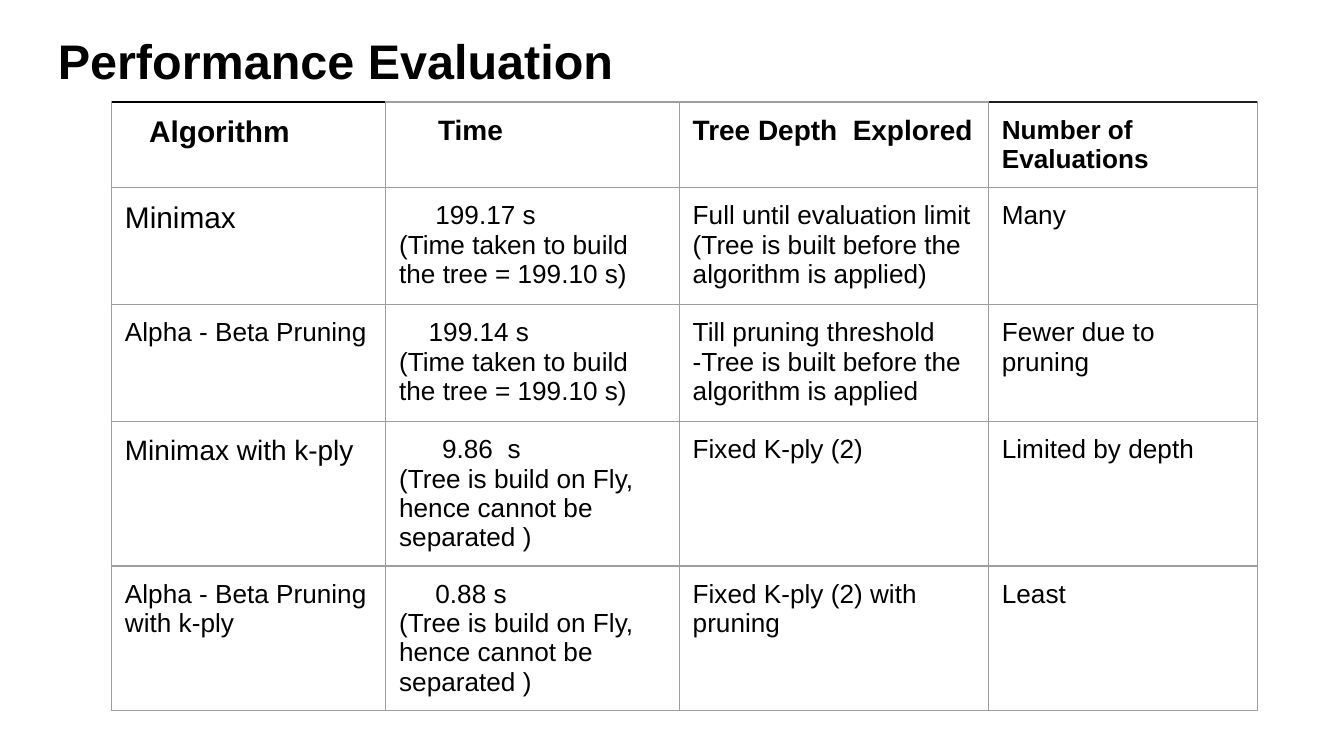
from dataclasses import dataclass

from lxml.etree import SubElement
from pptx import Presentation
from pptx.dml.color import RGBColor
from pptx.enum.text import MSO_ANCHOR as Anchor, MSO_AUTO_SIZE as AutoSize, PP_ALIGN as Align
from pptx.oxml.ns import qn
from pptx.util import Emu, Inches, Pt


@dataclass(frozen=True)
class Theme:
    font: str = "Arial"
    ink: str = "000000"
    rule: str = "9E9E9E"
    soft_ink: str = "1E1E1E"
    rule_width: float = 0.75
    title: int = 26
    large: int = 16
    medium: int = 15
    body: int = 14
    inset: float = 0.1


@dataclass(frozen=True)
class Line:
    text: str
    size: int
    bold: bool = False
    indent: float = 0


@dataclass(frozen=True)
class Area:
    left: float
    top: float
    width: float
    height: float


THEME = Theme()
WIDTH = Inches(10)
HEIGHT = Emu(WIDTH * 9 // 16)
TITLE_AREA = Area(3.3, 2.31, 44.8, 13.16)
TABLE_AREA = Area(8.3, 13.5, 85.25, 73.08)
COLUMN_SHARES = (20.4, 21.85, 23, 20)
ROW_SHARES = (11.2, 15.47, 15.47, 15.47, 15.47)
TOP_RULES = {(0, 0): THEME.ink, (0, 3): THEME.soft_ink}
INSETS = dict.fromkeys(("margin_left", "margin_top", "margin_right", "margin_bottom"), Inches(THEME.inset))


def body(text: str, indent: float = 0) -> Line:
    return Line(text, THEME.body, indent=indent)


def head(text: str, size: int, indent: float = 0) -> Line:
    return Line(text, size, True, indent)


PREBUILT = body("(Time taken to build the tree = 199.10 s)")
ON_FLY = body("(Tree is build on Fly, hence cannot be separated )")
ROWS = (
    (
        [head("Algorithm", THEME.large, 0.18)],
        [head("Time", THEME.medium, 0.29)],
        [head("Tree Depth  Explored", THEME.medium)],
        [head("Number of Evaluations", THEME.body)],
    ),
    (
        [Line("Minimax", THEME.large)],
        [body("199.17 s", 0.27), PREBUILT],
        [body("Full until evaluation limit"), body("(Tree is built before the algorithm is applied)")],
        [body("Many")],
    ),
    (
        [body("Alpha - Beta Pruning")],
        [body("199.14 s", 0.22), PREBUILT],
        [body("Till pruning threshold -Tree is built before the algorithm is applied")],
        [body("Fewer due to pruning")],
    ),
    (
        [Line("Minimax with k-ply", THEME.medium)],
        [body("9.86  s", 0.32), ON_FLY],
        [body("Fixed K-ply (2)")],
        [body("Limited by depth")],
    ),
    (
        [body("Alpha - Beta Pruning with k-ply")],
        [body("0.88 s", 0.27), ON_FLY],
        [body("Fixed K-ply (2) with pruning")],
        [body("Least")],
    ),
)


def across(share: float) -> Emu:
    return Emu(round(WIDTH * share / 100))


def down(share: float) -> Emu:
    return Emu(round(HEIGHT * share / 100))


def place(area: Area) -> dict[str, Emu]:
    return {
        "left": across(area.left),
        "top": down(area.top),
        "width": across(area.width),
        "height": down(area.height),
    }


def apply(target, values: dict) -> None:
    for name, value in values.items():
        setattr(target, name, value)


def write(frame, lines: list[Line]) -> None:
    for number, line in enumerate(lines):
        para = frame.add_paragraph() if number else frame.paragraphs[0]
        para.alignment = Align.LEFT
        if line.indent:
            para._p.get_or_add_pPr().set("indent", str(Inches(line.indent)))
        span = para.add_run()
        span.text = line.text
        apply(span.font, {"name": THEME.font, "size": Pt(line.size), "bold": line.bold})
        span.font.color.rgb = RGBColor.from_string(THEME.ink)


def draw_borders(cell, top: str) -> None:
    properties = cell._tc.get_or_add_tcPr()
    colours = {"lnL": THEME.rule, "lnR": THEME.rule, "lnT": top, "lnB": THEME.rule}
    for side, colour in colours.items():
        border = SubElement(properties, qn(f"a:{side}"), w=str(Pt(THEME.rule_width)))
        fill = SubElement(border, qn("a:solidFill"))
        SubElement(fill, qn("a:srgbClr"), val=colour)


def draw_title(page) -> None:
    box = page.shapes.title
    apply(box, place(TITLE_AREA))
    frame = box.text_frame
    apply(frame, INSETS | {"vertical_anchor": Anchor.TOP, "auto_size": AutoSize.NONE, "word_wrap": True})
    write(frame, [head("Performance Evaluation", THEME.title)])


def draw_table(page) -> None:
    table = page.shapes.add_table(len(ROWS), len(COLUMN_SHARES), **place(TABLE_AREA)).table
    apply(table, {"first_row": False, "horz_banding": False})
    for column, share in zip(table.columns, COLUMN_SHARES):
        column.width = across(share)
    for row, share in zip(table.rows, ROW_SHARES):
        row.height = down(share)
    for row_number, row in enumerate(ROWS):
        for column_number, lines in enumerate(row):
            cell = table.cell(row_number, column_number)
            apply(cell, INSETS | {"vertical_anchor": Anchor.TOP})
            draw_borders(cell, TOP_RULES.get((row_number, column_number), THEME.rule))
            cell.fill.background()
            write(cell.text_frame, lines)


def main() -> None:
    deck = Presentation()
    apply(deck, {"slide_width": WIDTH, "slide_height": HEIGHT})
    page = deck.slides.add_slide(deck.slide_layouts.get_by_name("Title Only"))
    draw_title(page)
    draw_table(page)
    deck.save("out.pptx")


if __name__ == "__main__":
    main()
